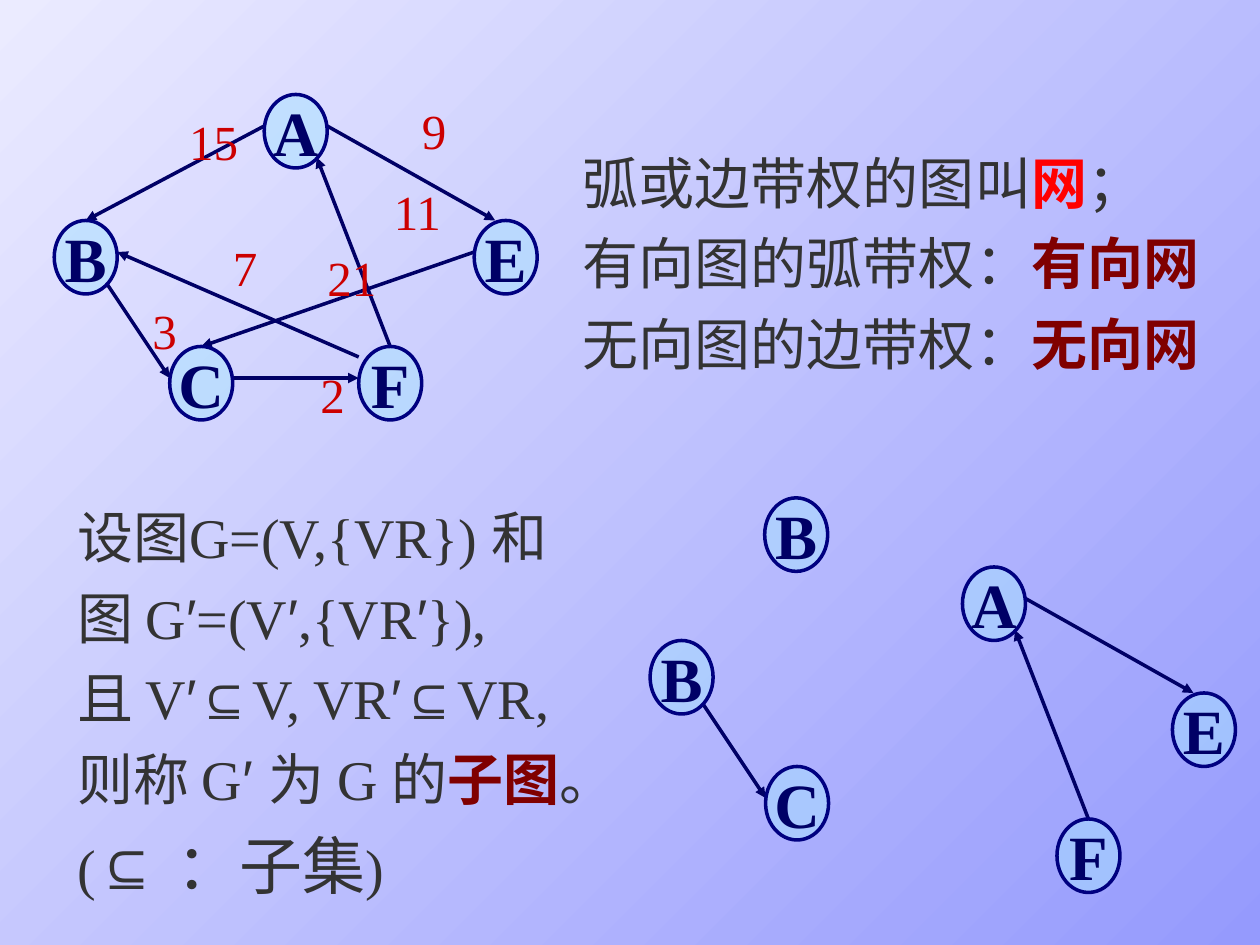
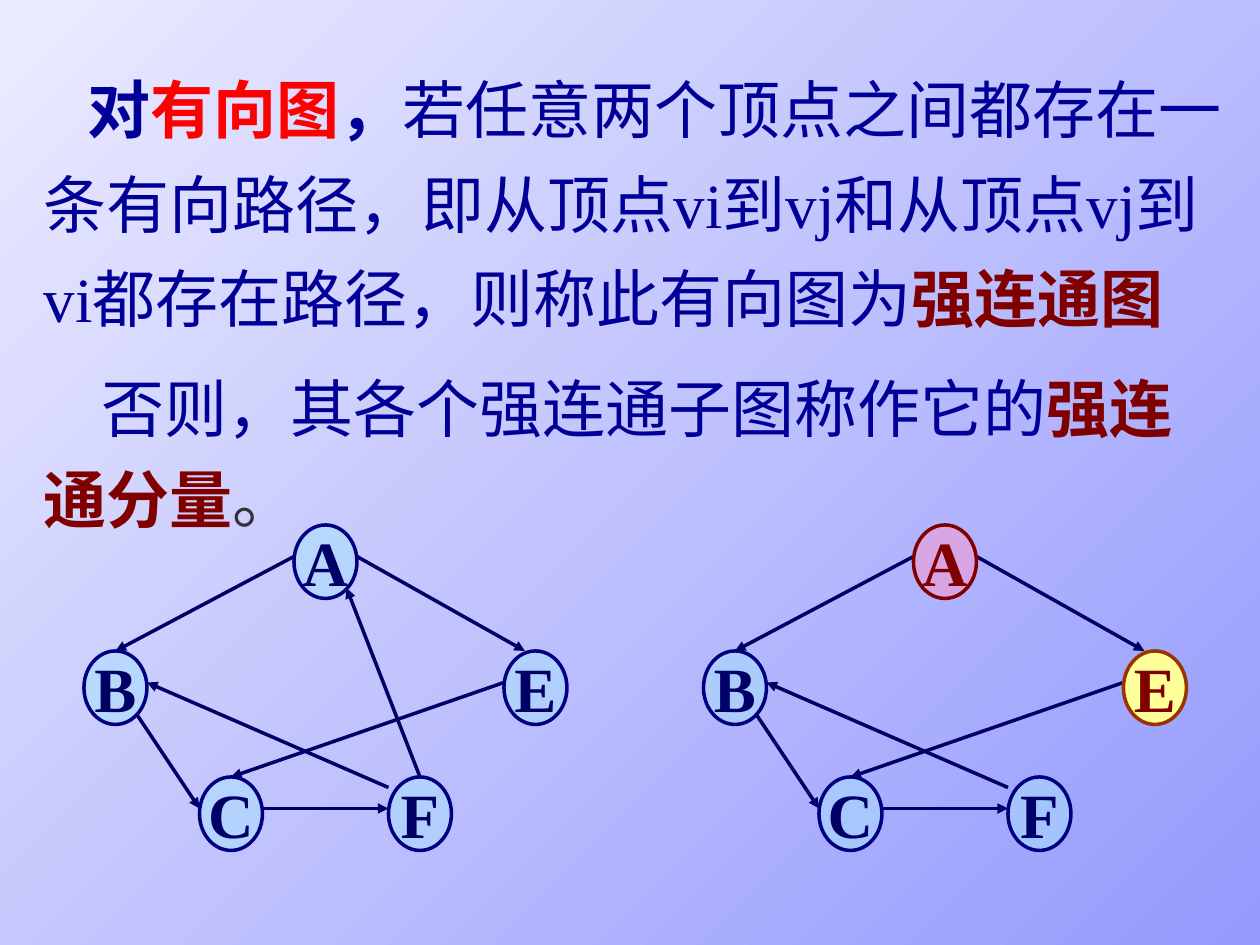
"""Build two slides on weighted graphs, subgraphs and strongly connected components."""
from lxml.etree import SubElement
from pptx import Presentation
from pptx.dml.color import RGBColor
from pptx.enum.shapes import MSO_CONNECTOR as CONN, MSO_SHAPE as SHAPE
from pptx.enum.text import MSO_ANCHOR as ANCHOR, MSO_AUTO_SIZE as AUTO, PP_ALIGN as ALIGN
from pptx.oxml.ns import qn
from pptx.util import Pt

rgb = RGBColor.from_string
SERIF, SANS = "Times New Roman", "Arial"
INK, MAROON = "000066", "800000"

BODY = ("333333", False, SERIF, 32)
SYMBOL = ("333333", False, SANS, 32)
TERM = (MAROON, True, SERIF, 32)
WEIGHT = ("CC0000", False, SERIF, 28)
BLUE = ("000099", False, SERIF, 36)
BLUE_BOLD = ("000099", True, SERIF, 36)
BIG_TERM = (MAROON, True, SERIF, 36)

NODE_W, NODE_H = 36, 42
NODES = {"A": (120, 0), "B": (0, 72), "E": (240, 72), "C": (66, 144), "F": (174, 144)}
EDGES = {
    "AB": (120, 18, 18, 72),
    "BC": (30, 108, 66, 162),
    "CF": (102, 162, 174, 162),
    "FA": (192, 144, 150, 36),
    "AE": (156, 18, 252, 72),
    "FB": (174, 150, 36, 90),
    "EC": (240, 90, 84, 144),
}
PLAIN = ("A7E2FF", 50, "000080", INK)


def add_text(s, x, y, w, h, paragraphs, spacing=1.0, indent=0, wrap=True):
    tf = s.shapes.add_textbox(Pt(x), Pt(y), Pt(w), Pt(h)).text_frame
    tf.word_wrap = wrap
    tf.auto_size = AUTO.SHAPE_TO_FIT_TEXT
    for i, runs in enumerate(paragraphs):
        p = tf.paragraphs[0] if i == 0 else tf.add_paragraph()
        p.line_spacing = spacing
        if indent:
            p._p.get_or_add_pPr().set("indent", str(Pt(indent)))
        for text, (color, bold, font, size) in runs:
            r = p.add_run()
            r.text = text
            r.font.name, r.font.size, r.font.bold = font, Pt(size), bold
            r.font.color.rgb = rgb(color)


def add_graph(s, x, y, nodes, edges, looks={}):
    grp = s.shapes.add_group_shape() if edges else s
    for edge in edges:
        x1, y1, x2, y2 = EDGES[edge]
        c = grp.shapes.add_connector(CONN.STRAIGHT, Pt(x + x1), Pt(y + y1), Pt(x + x2), Pt(y + y2))
        c.line.color.rgb, c.line.width = rgb(INK), Pt(2)
        spPr = c._element.spPr
        SubElement(spPr.find(qn("a:ln")), qn("a:tailEnd"), type="triangle")
        SubElement(spPr, qn("a:effectLst"))
    for name in nodes:
        dx, dy = NODES[name]
        fill, alpha, line, ink = looks.get(name, PLAIN)
        sp = grp.shapes.add_shape(SHAPE.OVAL, Pt(x + dx), Pt(y + dy), Pt(NODE_W), Pt(NODE_H))
        sp.shadow.inherit = False
        sp.fill.solid()
        sp.fill.fore_color.rgb = rgb(fill)
        if alpha < 100:
            clr = sp._element.spPr.find(qn("a:solidFill")).find(qn("a:srgbClr"))
            SubElement(clr, qn("a:alpha"), val=str(alpha * 1000))
        sp.line.color.rgb, sp.line.width = rgb(line), Pt(2)
        tf = sp.text_frame
        tf.word_wrap, tf.vertical_anchor = False, ANCHOR.MIDDLE
        p = tf.paragraphs[0]
        p.alignment = ALIGN.CENTER
        r = p.add_run()
        r.text = name
        r.font.name, r.font.size, r.font.bold = SERIF, Pt(36), True
        r.font.color.rgb = rgb(ink)


prs = Presentation()
prs.slide_width, prs.slide_height = Pt(720), Pt(540)
slides = [prs.slides.add_slide(prs.slide_layouts[6]) for _ in range(2)]
for s in slides:
    bg = s.background.fill
    bg.gradient()
    bg.gradient_angle = 315
    for stop, color in zip(bg.gradient_stops, ("EBEBFF", "959AFD")):
        stop.color.rgb = rgb(color)
nets, strong = slides

add_graph(nets, 31, 54, "ABECF", EDGES)
add_graph(nets, 430, 324, "AEF", ["FA", "AE"])
add_graph(nets, 437, 212.5, "B", [])
add_graph(nets, 371.5, 294, "BC", ["BC"])

add_text(nets, 37, 276, 312, 243, [
    [("设图G=(V,{VR}) 和图 G", BODY), ("′", SYMBOL), ("=(V", BODY), ("′", SYMBOL),
     (",{VR", BODY), ("′", SYMBOL), ("}),", BODY)],
    [("且 V", BODY), ("′⊆", SYMBOL), ("V, VR", BODY), ("′⊆", SYMBOL), ("VR,", BODY)],
    [("则称 G", BODY), ("′ ", SYMBOL), ("为 G 的", BODY), ("子图", TERM), ("。(", BODY),
     ("⊆ ", ("333333", False, SANS, 36)), ("：子集", ("333333", False, SERIF, 36)), (")", BODY)],
], spacing=1.2)

weights = [("15", 101, 60), ("9", 234, 54), ("7", 126, 132), ("21", 180, 138),
           ("11", 218, 100), ("3", 80, 168), ("2", 176, 205)]
for weight, x, y in weights:
    add_text(nets, x, y, 14.4 + 14 * len(weight), 41, [[(weight, WEIGHT)]], wrap=False)

add_text(nets, 326, 73.5, 391, 145.5, [
    [("弧或边带权的图叫", BODY), ("网", ("FF0000", True, SERIF, 32)), ("；", BODY)],
    [("有向图的弧带权：", BODY), ("有向网", TERM)],
    [("无向图的边带权：", BODY), ("无向网", TERM)],
], spacing=1.2)

add_text(strong, 18, 26, 690, 223, [
    [("对", BLUE_BOLD), ("有向图", ("FF0000", True, SERIF, 36)), ("，", BLUE_BOLD),
     ("若任意两个顶点之间都存在一条有向路径，即从顶点vi到vj和从顶点vj到vi都存在路径，则称此有向图为", BLUE),
     ("强连通图", BIG_TERM)],
], spacing=1.25, indent=25)

add_graph(strong, 48, 300, "ABECF", EDGES)
add_graph(strong, 402, 300, "ABECF", [e for e in EDGES if e != "FA"], {
    "A": ("FF99CC", 50, MAROON, MAROON),
    "E": ("FFFF99", 100, "993300", MAROON),
})

add_text(strong, 18, 199, 677, 111, [
    [("否则，其各个强连通子图称作它的", BLUE), ("强连通分量", BIG_TERM),
     ("。", ("333333", False, SERIF, 36))],
], spacing=1.2, indent=33)

prs.save("out.pptx")
